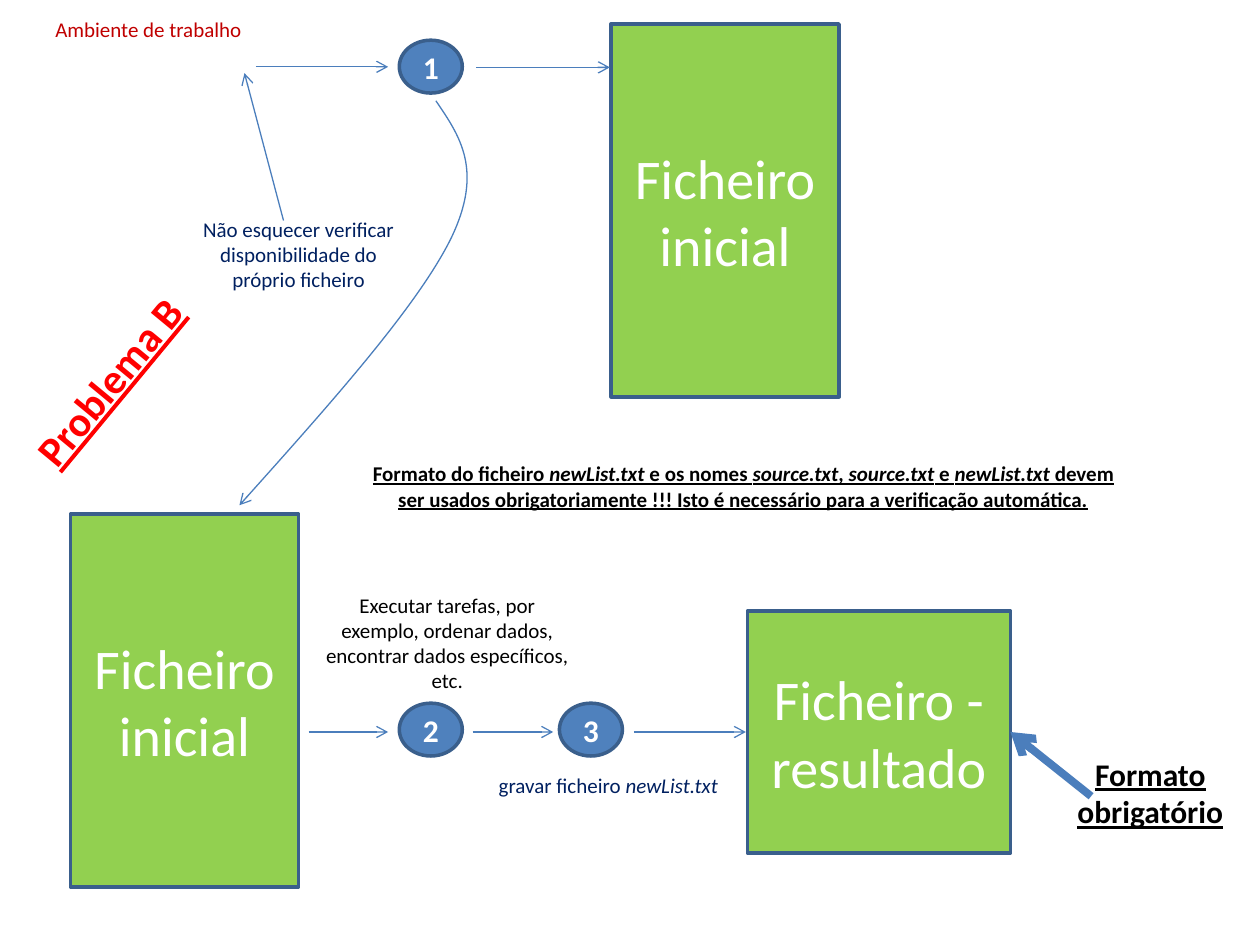
from pptx import Presentation
from pptx.dml.color import RGBColor
from pptx.enum.shapes import MSO_CONNECTOR, MSO_SHAPE
from pptx.enum.text import MSO_ANCHOR, MSO_AUTO_SIZE, PP_ALIGN
from pptx.oxml.ns import qn
from pptx.util import Pt
from lxml.etree import SubElement

HUES = {"blue": "4F81BD", "edge": "3A5F8C", "line": "4B7EBC", "green": "92D050",
        "white": "FFFFFF", "black": "000000", "navy": "002060",
        "wine": "C00000", "red": "FF0000"}


def style(frame, size, hue, bold=False, under=False, align=PP_ALIGN.CENTER):
    """Format every run; text between asterisks becomes italic."""
    for para in frame.paragraphs:
        para.alignment = align
        parts = para.text.split("*")
        para.text = parts[0]
        for part in parts[1:]:
            para.add_run().text = part
        for i, run in enumerate(para.runs):
            font = run.font
            font.name, font.size = "Calibri", Pt(size)
            font.bold, font.underline, font.italic = bold, under, i % 2 == 1
            font.color.rgb = RGBColor.from_string(HUES[hue])


def arrow(shape, width):
    """Give a line its colour, width and open arrowhead, without shadow."""
    shape.line.color.rgb = RGBColor.from_string(HUES["line"])
    shape.line.width = Pt(width)
    props = shape._element.spPr
    SubElement(props.find(qn("a:ln")), qn("a:tailEnd"), type="arrow")
    if props.find(qn("a:effectLst")) is None:
        SubElement(props, qn("a:effectLst"))


deck = Presentation()
deck.slide_width, deck.slide_height = Pt(720), Pt(540)
slide = deck.slides.add_slide(deck.slide_layouts[6])
shapes = slide.shapes

# File boxes and numbered steps
rect, oval = MSO_SHAPE.RECTANGLE, MSO_SHAPE.OVAL
blocks = [
    (rect, "Ficheiro\ninicial", 349.2, 13.7, 130.3, 213.1),
    (rect, "Ficheiro\ninicial", 40.3, 293.8, 130.3, 213.1),
    (rect, "Ficheiro -\nresultado", 427, 349.2, 150.5, 138.2),
    (oval, "1", 228.2, 23, 36, 30.2),
    (oval, "2", 228.2, 401.8, 36, 30.2),
    (oval, "3", 319.7, 401.8, 36, 30.2),
]
for kind, text, x, y, w, h in blocks:
    step = kind == oval
    block = shapes.add_shape(kind, Pt(x), Pt(y), Pt(w), Pt(h))
    block.shadow.inherit = False
    block.fill.solid()
    block.fill.fore_color.rgb = RGBColor.from_string(HUES["blue" if step else "green"])
    block.line.color.rgb = RGBColor.from_string(HUES["edge"])
    block.line.width = Pt(2)
    frame = block.text_frame
    frame.text = text
    frame.vertical_anchor = MSO_ANCHOR.MIDDLE
    style(frame, 18 if step else 32, "white", bold=step)

# Straight arrows
for x1, y1, x2, y2, width in [
    (146.2, 38.2, 221.8, 38.2, 0.75),
    (272.2, 38.5, 348.5, 38.5, 0.75),
    (162, 126, 139.7, 41.8, 0.75),
    (176.4, 418.3, 221.8, 418.3, 0.75),
    (270, 418.3, 316.1, 418.3, 0.75),
    (362.2, 418.3, 426.2, 418.3, 0.75),
    (623.5, 455, 577.4, 418.3, 4.5),
]:
    link = shapes.add_connector(MSO_CONNECTOR.STRAIGHT, Pt(x1), Pt(y1), Pt(x2), Pt(y2))
    arrow(link, width)

# Curved arrow: every three points make one Bezier segment
bends = [(262.8, 77.8), (276.5, 97.2), (257.8, 136.1),
         (239, 174.2), (187.9, 231.8), (136.8, 288.7)]
pen = shapes.build_freeform(Pt(249.1), Pt(57.6))
pen.add_line_segments([(Pt(x), Pt(y)) for x, y in bends], close=False)
curve = pen.convert_to_shape()
curve.shadow.inherit = False
curve.fill.background()
arrow(curve, 0.75)
route = curve._element.spPr.find(".//" + qn("a:path"))
for i, leg in enumerate(route.findall(qn("a:lnTo"))):
    if i % 3 == 0:
        bend = SubElement(route, qn("a:cubicBezTo"))
    bend.append(leg[0])
    route.remove(leg)
curve.width = Pt(130.3)  # the curve stays inside its control points
route.set("w", str(curve.width))

# Labels: text, box, wrap, size, hue, bold and underlined, turn
labels = [
    ("Ambiente de trabalho", 24.5, 5.8, 121.7, 21.6, False, 12, "wine", False, 0),
    ("Não esquecer verificar disponibilidade do próprio ficheiro",
     104.4, 120.2, 132.5, 51.1, True, 12, "navy", False, 0),
    ("Problema B", -2.9, 199.4, 130.3, 36, False, 24, "red", True, 309.5),
    ("Executar tarefas, por exemplo, ordenar dados, encontrar dados específicos, etc.",
     176.4, 334.8, 158.4, 65.5, True, 12, "black", False, 0),
    ("gravar ficheiro *newList.txt", 277.9, 437.8, 141.1, 21.6, False, 12, "navy", False, 0),
    ("Formato do ficheiro *newList.txt* e os nomes *source.txt*,* source.txt* e "
     "*newList.txt* devem ser usados obrigatoriamente !!! Isto é necessário para a "
     "verificação automática.", 201.6, 259.9, 446.4, 36, True, 12, "black", True, 0),
    ("Formato obrigatório", 605.5, 427.7, 103.7, 51.1, True, 18, "black", True, 0),
]
for text, x, y, w, h, wrap, size, hue, strong, turn in labels:
    label = shapes.add_textbox(Pt(x), Pt(y), Pt(w), Pt(h))
    label.rotation = turn
    frame = label.text_frame
    frame.text = text
    frame.word_wrap = wrap
    frame.auto_size = MSO_AUTO_SIZE.SHAPE_TO_FIT_TEXT
    style(frame, size, hue, strong, strong, PP_ALIGN.CENTER if wrap else PP_ALIGN.LEFT)

deck.save("out.pptx")
